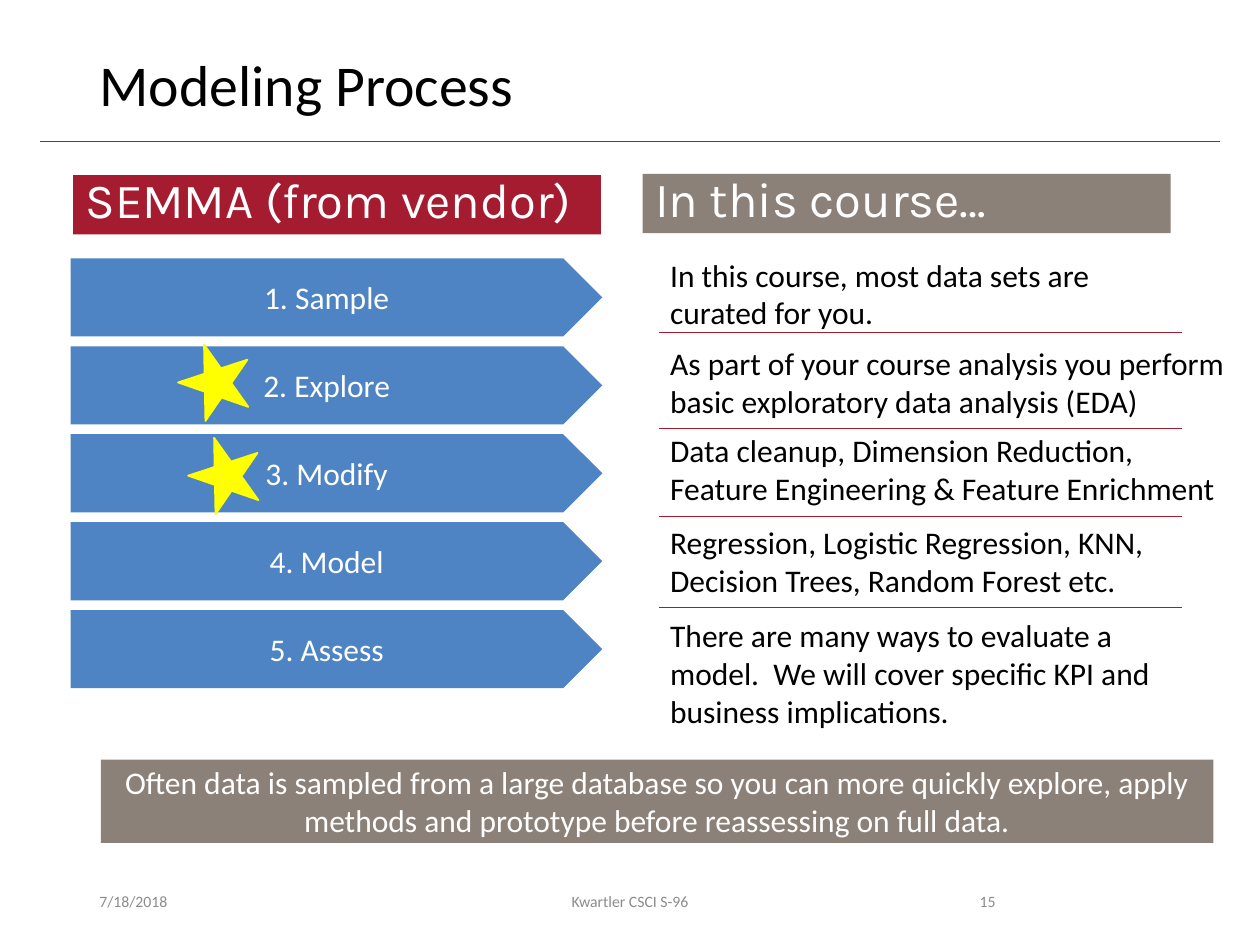
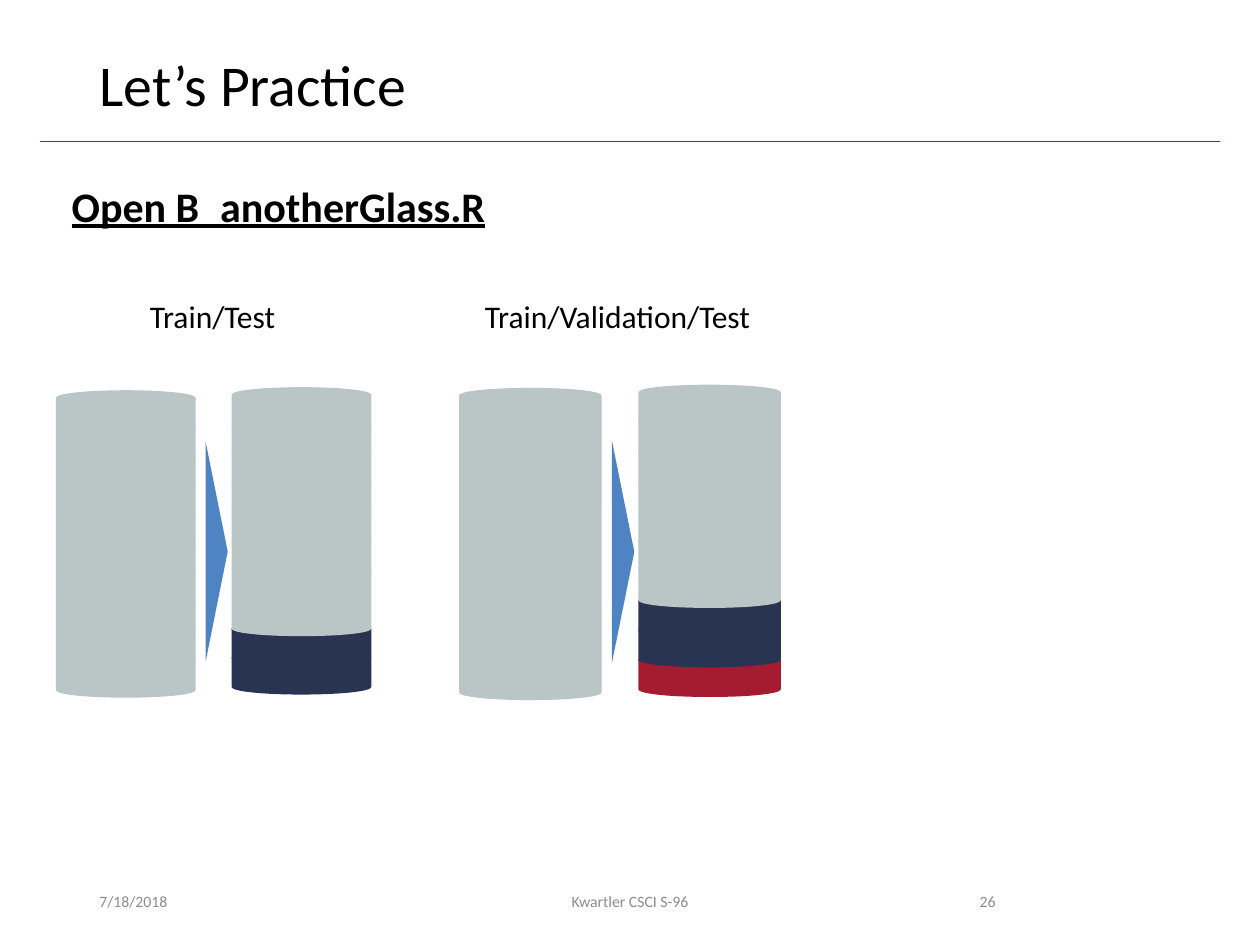
from dataclasses import dataclass
from lxml.etree import SubElement
from pptx import Presentation
from pptx.dml.color import RGBColor
from pptx.enum.shapes import MSO_CONNECTOR, MSO_SHAPE
from pptx.enum.text import MSO_ANCHOR, MSO_AUTO_SIZE, PP_ALIGN
from pptx.oxml.ns import qn
from pptx.util import Inches, Pt

COLUMNS, ROWS = 100, 75
CELL = Inches(0.1)
CRIMSON, TAUPE, BLUE, YELLOW = "A51C30", "8C8179", "4E84C4", "FFFF00"
SILVER, NAVY = "BAC5C6", "293352"
BLACK, WHITE, GRAY = "000000", "FFFFFF", "8C8C8C"
BODY_FONT, BAND_FONT = "Calibri", "Karla"


@dataclass
class Box:
    left: float
    top: float
    width: float
    height: float

    def inner(self, left, top, width, height):
        return Box(self.left + left, self.top + top, width, height)

    def share(self, left, top, width, height):
        return self.inner(left * self.width, top * self.height,
                          width * self.width, height * self.height)

    def lengths(self):
        return [round(value * CELL) for value in (self.left, self.top, self.width, self.height)]


SLIDE = Box(0, 0, COLUMNS, ROWS)


def color(hex_string):
    return RGBColor.from_string(hex_string)


def write(shape, text, size, text_color=BLACK, font=BODY_FONT, align=PP_ALIGN.LEFT,
          anchor=MSO_ANCHOR.TOP, spacing=1.0, wrap=True, bold=False, underline=False):
    frame = shape.text_frame
    frame.text = text
    frame.auto_size = MSO_AUTO_SIZE.NONE
    frame.word_wrap = wrap
    frame.vertical_anchor = anchor
    paragraph = frame.paragraphs[0]
    paragraph.alignment = align
    paragraph.line_spacing = spacing
    run_font = paragraph.runs[0].font
    run_font.name = font
    run_font.size = Pt(size)
    run_font.bold = bold
    run_font.underline = underline
    run_font.color.rgb = color(text_color)


def add_text(slide, box, text, size, **style):
    write(slide.shapes.add_textbox(*box.lengths()), text, size, **style)


def add_block(shapes, kind, box, fill, outlined=False, rotation=0):
    shape = shapes.add_shape(kind, *box.lengths())
    shape.shadow.inherit = False
    shape.rotation = rotation
    shape.fill.solid()
    shape.fill.fore_color.rgb = color(fill)
    if outlined:
        shape.line.color.rgb = color(fill)
        shape.line.width = Pt(1)
    else:
        shape.line.fill.background()
    return shape


def add_rule(slide, box):
    left, top, width, _ = box.lengths()
    rule = slide.shapes.add_connector(MSO_CONNECTOR.STRAIGHT, left, top, left + width, top)
    rule.line.color.rgb = color(CRIMSON)
    rule.line.width = Pt(0.5)
    SubElement(rule._element.spPr, qn("a:effectLst"))


def add_footer(slide, box, number):
    parts = [
        ("7/18/2018", 0, 22.5, PP_ALIGN.LEFT),
        ("Kwartler CSCI S-96", 26.2, 33.8, PP_ALIGN.CENTER),
        (number, 63.7, 9.4, PP_ALIGN.RIGHT),
    ]
    for text, left, width, align in parts:
        add_text(slide, box.inner(left, 0, width, box.height), text, 9,
                 text_color=GRAY, align=align, anchor=MSO_ANCHOR.MIDDLE)


def start_slide(presentation, title, number):
    slide = presentation.slides.add_slide(presentation.slide_layouts[5])
    add_rule(slide, SLIDE.inner(3.2, 11.2, 93.6, 0))
    heading = slide.shapes.title
    heading.left, heading.top, heading.width, heading.height = SLIDE.inner(6.9, 4, 86.2, 6.5).lengths()
    write(heading, title, 33, spacing=0.9)
    add_footer(slide, SLIDE.inner(6.9, 69.5, 86.2, 4), number)
    return slide


def add_band(slide, box, text, fill):
    band = add_block(slide.shapes, MSO_SHAPE.RECTANGLE, box, fill)
    write(band, text, 28, text_color=WHITE, font=BAND_FONT, spacing=0.8)


def add_steps(slide, box, steps):
    pitch = 6.98
    for index, step in enumerate(steps):
        arrow = add_block(slide.shapes, MSO_SHAPE.PENTAGON,
                          box.inner(0, index * pitch, box.width, 6.2), BLUE)
        write(arrow, f"{index + 1}. {step}", 18, text_color=WHITE,
              align=PP_ALIGN.CENTER, anchor=MSO_ANCHOR.MIDDLE)
    for left, top in ((8.6, 6.7), (9.4, 14.1)):
        add_block(slide.shapes, MSO_SHAPE.STAR_5_POINT, box.inner(left, top, 5.8, 5.8),
                  YELLOW, outlined=True, rotation=341.8)


def add_notes_column(slide, box, notes, rule_tops):
    for text, top, width, height in notes:
        add_text(slide, box.inner(0, top, width, height), text, 18)
    for top in rule_tops:
        add_rule(slide, box.inner(0.1, top, 41.5, 0))


def build_modeling_process(presentation):
    slide = start_slide(presentation, "Modeling Process", "15")
    add_band(slide, SLIDE.inner(5.8, 13.9, 41.9, 4.7), "SEMMA (from vendor)", CRIMSON)
    add_band(slide, SLIDE.inner(51, 13.8, 41.9, 4.7), "In this course…", TAUPE)
    add_steps(slide, SLIDE.inner(5.6, 20.5, 42.2, 34.1),
              ["Sample", "Explore", "Modify", "Model", "Assess"])
    notes = [
        ("In this course, most data sets are curated for you.", 0, 41.8, 7.1),
        ("As part of your course analysis you perform basic exploratory data analysis (EDA)",
         7, 47.8, 7.1),
        ("Data cleanup, Dimension Reduction, Feature Engineering & Feature Enrichment",
         13.9, 45.5, 7.1),
        ("Regression, Logistic Regression, KNN, Decision Trees, Random Forest etc.",
         21.2, 41.8, 7.1),
        ("There are many ways to evaluate a model.  We will cover specific KPI and "
         "business implications.", 28.6, 41.8, 10.1),
    ]
    add_notes_column(slide, SLIDE.inner(52.2, 19.8, 47.8, 38.7), notes, (6.6, 14.2, 21.2, 28.4))
    summary = add_block(slide.shapes, MSO_SHAPE.RECTANGLE, SLIDE.inner(8, 60.3, 88.3, 6.6), TAUPE)
    write(summary, "Often data is sampled from a large database so you can more quickly explore, "
          "apply methods and prototype before reassessing on full data.", 18,
          text_color=WHITE, align=PP_ALIGN.CENTER, anchor=MSO_ANCHOR.MIDDLE)


def add_barrel(shapes, box, fills):
    disk_height = 0.14 * box.height
    pitch = (box.height - disk_height) / (len(fills) - 1)
    for index, fill in enumerate(fills):
        top = box.height - disk_height - index * pitch
        add_block(shapes, MSO_SHAPE.FLOWCHART_MAGNETIC_DISK,
                  box.inner(0, top, box.width, disk_height), fill, outlined=True)


def add_partition(slide, box, split_fills):
    shapes = slide.shapes.add_group_shape().shapes
    add_barrel(shapes, box.share(0, 0.01, 0.44, 0.99), [SILVER] * len(split_fills))
    length, thickness = 0.71 * box.height, 0.07 * box.width
    pointer = box.inner(0.51 * box.width - length / 2, 0.53 * box.height - thickness / 2,
                        length, thickness)
    add_block(shapes, MSO_SHAPE.ISOSCELES_TRIANGLE, pointer, BLUE, rotation=90)
    add_barrel(shapes, box.share(0.56, 0, 0.44, 0.99), split_fills)


def build_practice(presentation):
    slide = start_slide(presentation, "Let’s Practice", "26")
    add_partition(slide, SLIDE.inner(4.5, 30.8, 24.9, 24.5), [NAVY] * 2 + [SILVER] * 8)
    add_partition(slide, SLIDE.inner(36.5, 30.6, 25.4, 24.9),
                  [CRIMSON] + [NAVY] * 2 + [SILVER] * 7)
    add_text(slide, SLIDE.inner(10.9, 23.1, 12.1, 4), "Train/Test", 18, wrap=False)
    add_text(slide, SLIDE.inner(37.5, 23.1, 23.3, 4), "Train/Validation/Test", 18, wrap=False)
    add_text(slide, SLIDE.inner(4.7, 13.8, 35.2, 5), "Open B_anotherGlass.R", 24,
             wrap=False, bold=True, underline=True)


def main():
    presentation = Presentation()
    presentation.slide_width = COLUMNS * CELL
    presentation.slide_height = ROWS * CELL
    build_modeling_process(presentation)
    build_practice(presentation)
    presentation.save("out.pptx")


if __name__ == "__main__":
    main()
